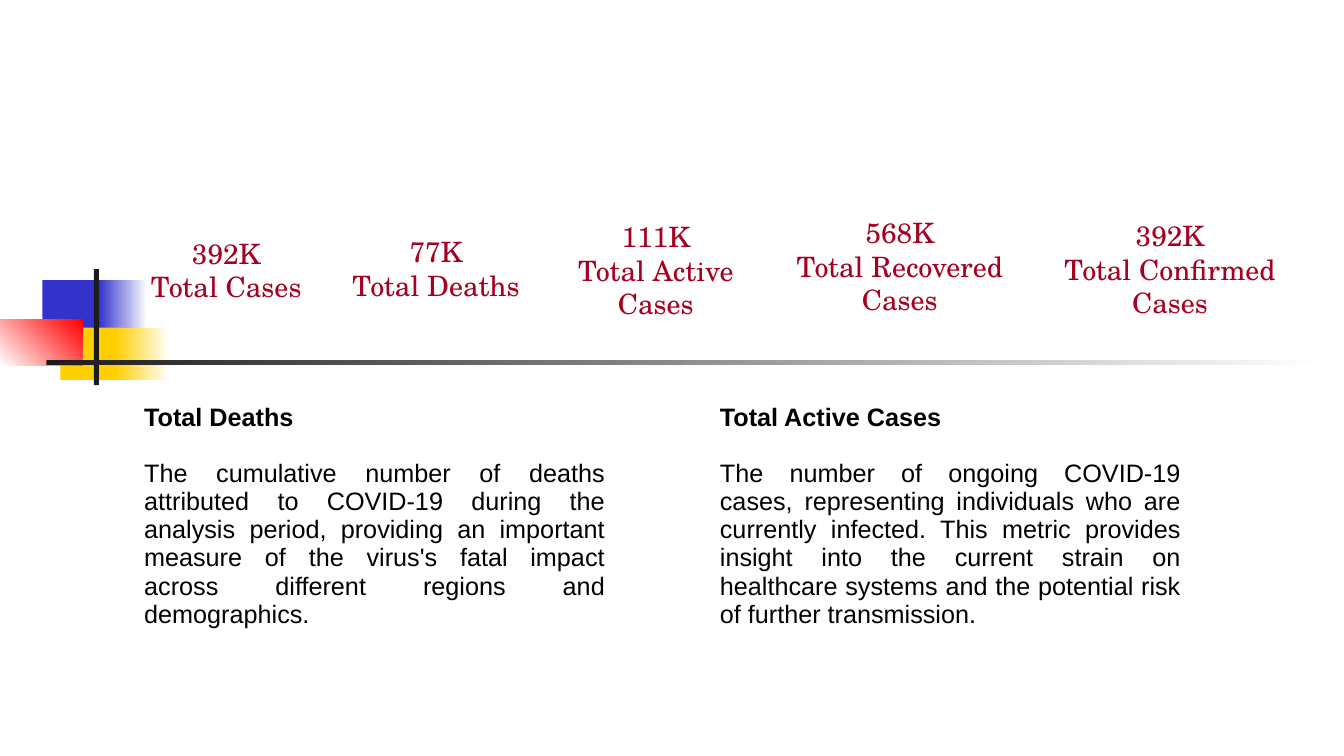
"""Build a slide of COVID-19 case totals with two definitions below."""
from pptx import Presentation
from pptx.dml.color import RGBColor
from pptx.enum.shapes import MSO_SHAPE
from pptx.enum.text import MSO_ANCHOR, PP_ALIGN
from pptx.util import Inches, Pt

RECT, ROUNDED = MSO_SHAPE.RECTANGLE, MSO_SHAPE.ROUNDED_RECTANGLE
MIDDLE, CENTER, JUSTIFY = MSO_ANCHOR.MIDDLE, PP_ALIGN.CENTER, PP_ALIGN.JUSTIFY
BLUE = RGBColor(0x33, 0x33, 0xCC)
YELLOW = RGBColor(0xFF, 0xCF, 0x01)
RED = RGBColor(0xFF, 0x00, 0x00)
DARK = RGBColor(0x1C, 0x1C, 0x1C)
WHITE = RGBColor(0xFF, 0xFF, 0xFF)
BLACK = RGBColor(0x00, 0x00, 0x00)
CRIMSON = RGBColor(0xA5, 0x00, 0x21)

DECORATION = [
    ((0.42, 2.78, 0.64, 0.52), (BLUE,), 0),
    ((0.98, 2.78, 0.48, 0.52), (BLUE, WHITE), 0),
    ((0.6, 3.25, 0.62, 0.52), (YELLOW,), 0),
    ((1.14, 3.25, 0.54, 0.52), (YELLOW, WHITE), 0),
    ((0, 3.17, 0.82, 0.46), (WHITE, RED), 45),
    ((0.93, 2.67, 0.05, 1.15), (DARK,), 0),
    ((0.46, 3.57, 12.66, 0.05), (DARK, WHITE), 0),
]
TOTALS = [
    ("392K", "Total Cases", (1.11, 2.17, 2.27, 1.01)),
    ("77K", "Total Deaths", (3.19, 2.16, 2.27, 1.01)),
    ("111K", "Total Active Cases", (5.27, 2.17, 2.47, 1.02)),
    ("568K", "Total Recovered Cases", (7.54, 2.14, 2.77, 1)),
    ("392K", "Total Confirmed Cases", (10.12, 2.14, 2.97, 1.06)),
]
DEFINITIONS = [
    ("Total Deaths",
     "The cumulative number of deaths attributed to COVID-19 during the "
     "analysis period, providing an important measure of the virus's fatal "
     "impact across different regions and demographics."),
    ("Total Active Cases",
     "The number of ongoing COVID-19 cases, representing individuals who are "
     "currently infected. This metric provides insight into the current strain "
     "on healthcare systems and the potential risk of further transmission."),
]
TABLE_LEFT, TABLE_TOP, TABLE_W, TABLE_H, TABLE_STEP = 1.33, 3.95, 4.77, 3.38, 5.71


def add_box(s, kind, box):
    """Add a shape with no fill, line or shadow."""
    sp = s.shapes.add_shape(kind, *map(Inches, box))
    sp.shadow.inherit = False
    sp.fill.background()
    sp.line.fill.background()
    return sp


def write(tf, lines, font, size, color, align):
    """Write one formatted paragraph per line and return them."""
    tf.text = "\n".join(lines)
    for p in tf.paragraphs:
        p.alignment = align
        p.font.name, p.font.size = font, Pt(size)
        p.font.color.rgb = color
    return tf.paragraphs


def add_decoration(s, box, colors, angle):
    """Add a solid or two-colour rectangle."""
    fill = add_box(s, RECT, box).fill
    if len(colors) == 1:
        fill.solid()
        fill.fore_color.rgb = colors[0]
        return
    fill.gradient()
    fill.gradient_angle = angle
    for stop, color in zip(fill.gradient_stops, colors):
        stop.color.rgb = color


def add_total(s, value, label, box):
    """Add a centred figure with its label."""
    tf = add_box(s, ROUNDED, box).text_frame
    tf.word_wrap = True
    tf.vertical_anchor = MIDDLE
    write(tf, (value, label), "TeX Gyre Schola", 20, CRIMSON, CENTER)


def add_definition(s, column, heading, body):
    """Add a one-cell table with a bold heading and justified text."""
    box = (TABLE_LEFT + column * TABLE_STEP, TABLE_TOP, TABLE_W, TABLE_H)
    table = s.shapes.add_table(1, 1, *map(Inches, box)).table
    table.first_row = table.horz_banding = False
    cell = table.cell(0, 0)
    cell.fill.background()
    title, text = write(cell.text_frame, (heading, body), "Arial", 18, BLACK, JUSTIFY)
    title.font.bold = True
    text.font.bold = False
    text.space_before = Pt(20)


def main():
    """Assemble and save the slide."""
    prs = Presentation()
    prs.slide_width, prs.slide_height = Inches(13.33), Inches(7.5)
    s = prs.slides.add_slide(prs.slide_layouts[6])
    for part in DECORATION:
        add_decoration(s, *part)
    for column, definition in enumerate(DEFINITIONS):
        add_definition(s, column, *definition)
    for total in TOTALS:
        add_total(s, *total)
    prs.save("out.pptx")


if __name__ == "__main__":
    main()
